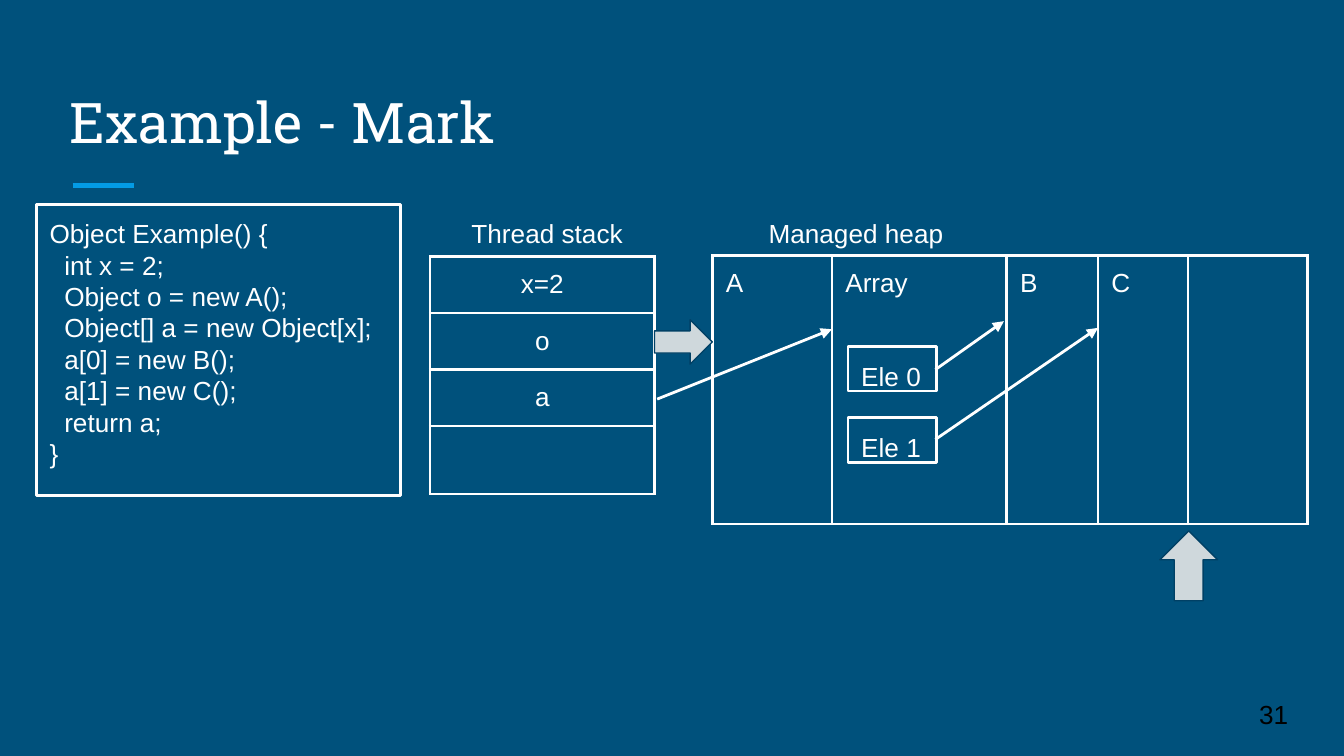
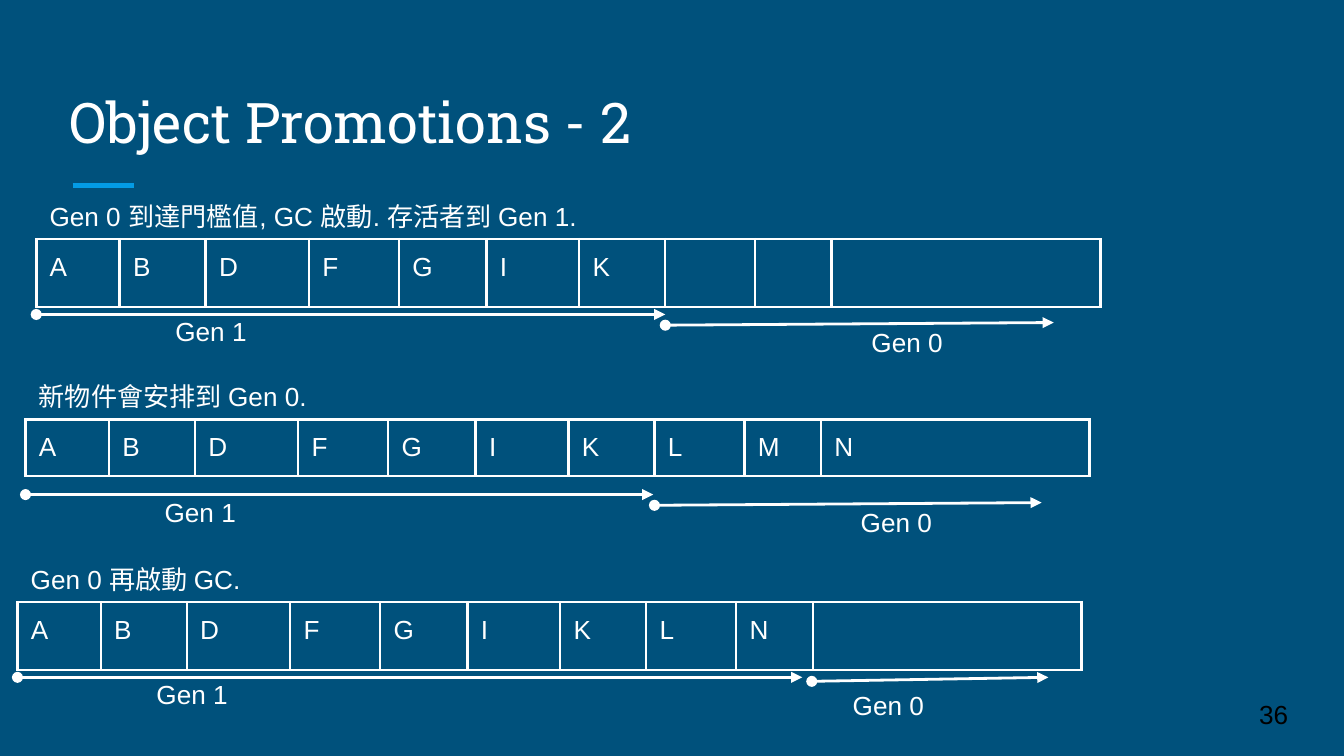
from dataclasses import dataclass

from lxml import etree
from pptx import Presentation
from pptx.dml.color import RGBColor
from pptx.enum.shapes import MSO_CONNECTOR, MSO_SHAPE
from pptx.enum.text import MSO_ANCHOR, MSO_AUTO_SIZE, PP_ALIGN
from pptx.oxml.ns import qn
from pptx.util import Emu, Pt

LEFT, CENTER = PP_ALIGN.LEFT, PP_ALIGN.CENTER
TOP, MIDDLE, BOTTOM = MSO_ANCHOR.TOP, MSO_ANCHOR.MIDDLE, MSO_ANCHOR.BOTTOM
NO_AUTOFIT = MSO_AUTO_SIZE.NONE
STRAIGHT = MSO_CONNECTOR.STRAIGHT
RECTANGLE = MSO_SHAPE.RECTANGLE
RIGHT_ARROW, UP_ARROW = MSO_SHAPE.RIGHT_ARROW, MSO_SHAPE.UP_ARROW


@dataclass(frozen=True)
class Theme:
    background: str = "00517C"
    accent: str = "039BE5"
    ink: str = "FFFFFF"
    number: str = "000000"
    arrow_fill: str = "CFD8DC"
    arrow_line: str = "004065"
    title_font: str = "Roboto Slab"
    body_font: str = "Arial"
    title_size: int = 30
    body_size: int = 14
    accent_width: float = 3
    line_width: float = 1.5
    arrow_width: float = 0.75


THEME = Theme()
PX = 9144  # 100 px to the inch
SLIDE_WIDTH = 1000
INSET = 10
CODE_INDENT = 11
ROW_HEIGHT = 42

# Content: marking example
MARK_TITLE, MARK_NUMBER = "Example - Mark", "31"
CODE = [  # indent level, line
    (0, "Object Example() {"),
    (1, "int x = 2;"),
    (1, "Object o = new A();"),
    (1, "Object[] a = new Object[x];"),
    (1, "a[0] = new B();"),
    (1, "a[1] = new C();"),
    (1, "return a;"),
    (0, "}"),
]
STACK = [["x=2"], ["o"], ["a"], [""]]
HEAP = [["A", "Array", "B", "C", ""]]
HEAP_WIDTHS = [89, 130, 68, 67, 89]
MARK_LABELS = [
    ("Thread stack", (341, 152, 146, 39)),
    ("Managed heap", (562, 152, 167, 39)),
]
ELEMENTS = ["Ele 0", "Ele 1"]
REFERENCES = [
    ((696, 275), (747, 239)),
    ((489, 297), (619, 245)),
    ((696, 327), (817, 244)),
]
BLOCK_ARROWS = [
    (RIGHT_ARROW, (487, 238, 43, 33)),
    (UP_ARROW, (863, 395, 43, 52)),
]

# Content: promotion stages; spans are measured from the left and top of the heap
PROMOTION_TITLE, PROMOTION_NUMBER = "Object Promotions - 2", "36"
GENERATION_WIDTHS = [62, 64, 77, 67, 65, 69, 64, 67, 57, 200]
STAGES = [
    dict(caption="Gen 0 到達門檻值, GC 啟動. 存活者到 Gen 1.", at=(27, 178),
         objects="ABDFGIK", gen1=((0, 56), (468, 56)), gen0=((468, 64), (757, 62))),
    dict(caption="新物件會安排到 Gen 0.", at=(19, 312),
         objects="ABDFGIKLMN", gen1=((0, 56), (467, 56)), gen0=((468, 64), (756, 62))),
    dict(caption="Gen 0 再啟動 GC.", at=(13, 448),
         objects="ABDFGIKLN", gen1=((0, 56), (584, 56)), gen0=((591, 59), (767, 56))),
]
GENERATION_LABELS = [("Gen 1", 0, 47), ("Gen 0", 518, 55)]


def px(*lengths):
    return [Emu(length * PX) for length in lengths]


def rgb(color):
    return RGBColor.from_string(color)


def format_text(paragraphs, color=THEME.ink, font=THEME.body_font,
                size=THEME.body_size, align=LEFT):
    for paragraph in paragraphs:
        paragraph.alignment = align
        for run in paragraph.runs:
            run.font.name = font
            run.font.size = Pt(size)
            run.font.color.rgb = rgb(color)


def set_frame(frame, anchor=TOP):
    frame.word_wrap = True
    frame.auto_size = NO_AUTOFIT
    frame.vertical_anchor = anchor
    frame.margin_left, frame.margin_right, frame.margin_top, frame.margin_bottom = px(*[INSET] * 4)


def add_label(slide, text, box, anchor=TOP, **style):
    frame = slide.shapes.add_textbox(*px(*box)).text_frame
    set_frame(frame, anchor)
    frame.text = text
    format_text(frame.paragraphs, **style)


def add_block(slide, preset, box, fill=None, line=THEME.ink, width=THEME.line_width):
    block = slide.shapes.add_shape(preset, *px(*box))
    block.shadow.inherit = False
    if fill:
        block.fill.solid()
        block.fill.fore_color.rgb = rgb(fill)
    else:
        block.fill.background()
    block.line.color.rgb = rgb(line)
    block.line.width = Pt(width)
    set_frame(block.text_frame)
    return block


def add_line(slide, start, end, color=THEME.ink, width=THEME.line_width,
             head=None, tail=None):
    connector = slide.shapes.add_connector(STRAIGHT, *px(*start, *end))
    connector.line.color.rgb = rgb(color)
    connector.line.width = Pt(width)
    properties = connector.element.spPr
    outline = properties.find(qn("a:ln"))
    for tag, kind in (("a:headEnd", head), ("a:tailEnd", tail)):
        if kind:
            etree.SubElement(outline, qn(tag), type=kind)
    etree.SubElement(properties, qn("a:effectLst"))


def set_borders(cell):
    properties = cell._tc.get_or_add_tcPr()
    for place, tag in enumerate(("a:lnL", "a:lnR", "a:lnT", "a:lnB")):
        border = etree.Element(qn(tag), w=str(Pt(THEME.line_width)))
        fill = etree.SubElement(border, qn("a:solidFill"))
        etree.SubElement(fill, qn("a:srgbClr"), val=THEME.ink)
        properties.insert(place, border)


def add_grid(slide, rows, at, widths, height, align=LEFT):
    box = (*at, sum(widths), height * len(rows))
    grid = slide.shapes.add_table(len(rows), len(widths), *px(*box)).table
    grid.first_row = grid.horz_banding = False
    for column, width in zip(grid.columns, px(*widths)):
        column.width = width
    for row, texts in zip(grid.rows, rows):
        row.height = Emu(height * PX)
        for cell, text in zip(row.cells, texts):
            cell.margin_left, cell.margin_right, cell.margin_top, cell.margin_bottom = px(*[INSET] * 4)
            cell.fill.background()
            set_borders(cell)
            if text:
                cell.text = text
                format_text(cell.text_frame.paragraphs, align=align)


def add_slide(deck, title, number):
    slide = deck.slides.add_slide(deck.slide_layouts.get_by_name("Title Only"))
    add_line(slide, (54, 138), (100, 138), THEME.accent, THEME.accent_width)
    heading = slide.shapes.title
    heading.left, heading.top, heading.width, heading.height = px(42, 50, 915, 75)
    set_frame(heading.text_frame, BOTTOM)
    heading.text_frame.text = title
    format_text(heading.text_frame.paragraphs, font=THEME.title_font, size=THEME.title_size)
    add_label(slide, number, (927, 510, 60, 43), MIDDLE, color=THEME.number)
    return slide


def build_mark(deck):
    slide = add_slide(deck, MARK_TITLE, MARK_NUMBER)

    # Source code
    code = add_block(slide, RECTANGLE, (27, 152, 271, 217)).text_frame
    code.text = "\n".join(line for _, line in CODE)
    format_text(code.paragraphs)
    for paragraph, (level, _) in zip(code.paragraphs, CODE):
        paragraph._p.get_or_add_pPr().set("marL", str(level * CODE_INDENT * PX))

    # Stack and heap
    add_grid(slide, STACK, (320, 191), [167], ROW_HEIGHT, CENTER)
    add_grid(slide, HEAP, (530, 190), HEAP_WIDTHS, 200)
    for text, box in MARK_LABELS:
        add_label(slide, text, box)

    # Array elements
    for index, text in enumerate(ELEMENTS):
        frame = add_block(slide, RECTANGLE, (631, 258 + 53 * index, 66, 33)).text_frame
        frame.text = text
        format_text(frame.paragraphs)

    # References and pointers
    for start, end in REFERENCES:
        add_line(slide, start, end, tail="triangle")
    for preset, box in BLOCK_ARROWS:
        add_block(slide, preset, box, THEME.arrow_fill, THEME.arrow_line, THEME.arrow_width)


def build_promotions(deck):
    slide = add_slide(deck, PROMOTION_TITLE, PROMOTION_NUMBER)
    for stage in STAGES:
        left, top = stage["at"]
        add_label(slide, stage["caption"], (left, top - 39, 792, 35))
        objects = list(stage["objects"])
        objects += [""] * (len(GENERATION_WIDTHS) - len(objects))
        add_grid(slide, [objects], (left, top), GENERATION_WIDTHS, ROW_HEIGHT)

        # Generation spans
        for text, dx, dy in GENERATION_LABELS:
            add_label(slide, text, (left + dx, top + dy, 260, 35), align=CENTER)
        for span in (stage["gen1"], stage["gen0"]):
            start, end = [(left + x, top + y) for x, y in span]
            add_line(slide, start, end, head="oval", tail="triangle")


def main():
    deck = Presentation()
    deck.slide_width = Emu(SLIDE_WIDTH * PX)
    deck.slide_height = Emu(SLIDE_WIDTH * PX * 9 // 16)
    backdrop = deck.slide_master.background.fill
    backdrop.solid()
    backdrop.fore_color.rgb = rgb(THEME.background)
    build_mark(deck)
    build_promotions(deck)
    deck.save("out.pptx")


if __name__ == "__main__":
    main()
